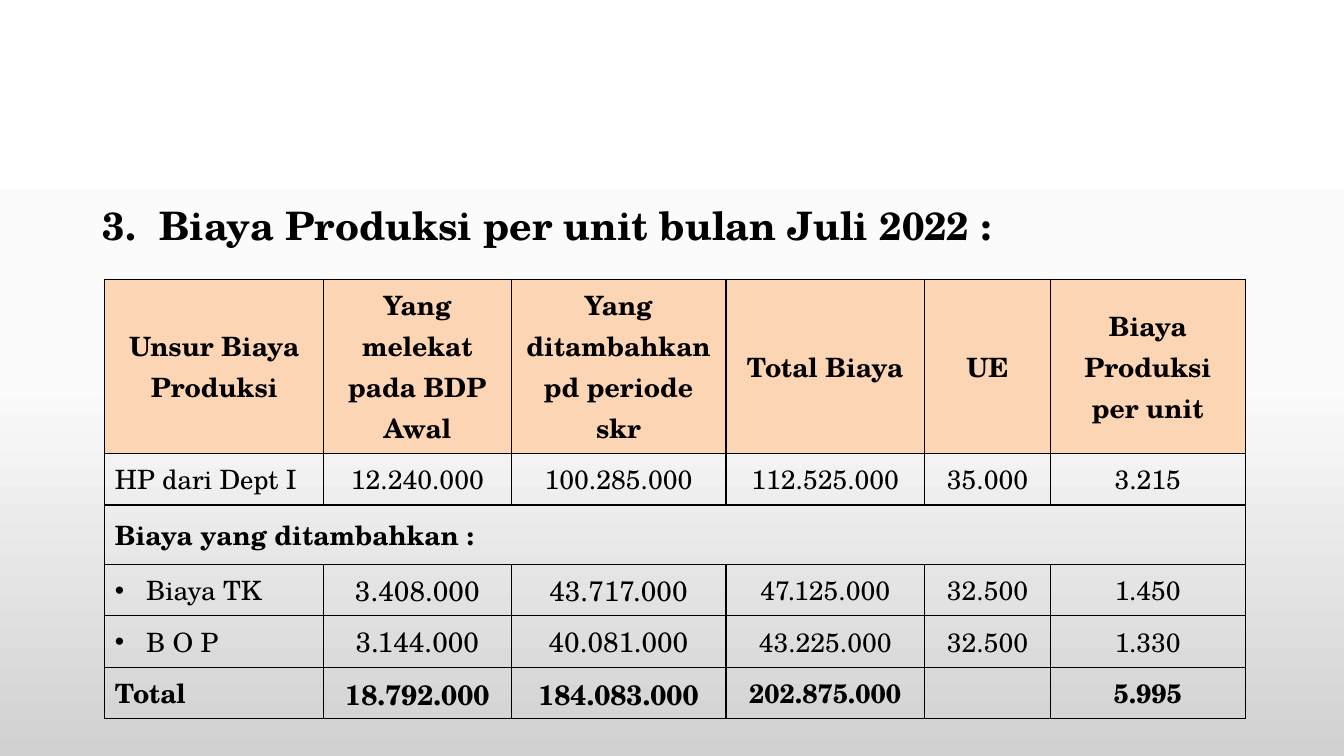
from copy import deepcopy
from dataclasses import dataclass

from pptx import Presentation
from pptx.dml.color import RGBColor
from pptx.enum.text import MSO_ANCHOR as Anchor, PP_ALIGN as Align
from pptx.oxml import parse_xml
from pptx.oxml.ns import nsdecls, qn
from pptx.util import Inches, Pt


@dataclass(frozen=True)
class Theme:
    font: str = "TeX Gyre Schola"
    ink: str = "000000"
    header: str = "FCD5B5"
    backdrop: tuple = ((0, "FFFFFF"), (0.5, "FBFBFB"), (1, "D1D1D1"))
    title_size: int = 28
    cell_size: int = 19
    large_size: int = 20
    border: int = 1


THEME = Theme()
TITLE = "Biaya Produksi per unit bulan Juli 2022 :"
COLUMN_WIDTHS = (2.17, 1.86, 2.13, 1.97, 1.25, 1.93)
ROW_HEIGHTS = (1.73, 0.51, 0.59, 0.51, 0.51, 0.51)
COST_ROWS = (
    ("Unsur Biaya Produksi", "Yang melekat pada BDP Awal",
     "Yang ditambahkan pd periode skr", "Total Biaya", "UE",
     "Biaya Produksi per unit"),
    ("HP dari Dept I", "12.240.000", "100.285.000", "112.525.000", "35.000", "3.215"),
    ("Biaya yang ditambahkan :", "", "", "", "", ""),
    ("Biaya TK", "3.408.000", "43.717.000", "47.125.000", "32.500", "1.450"),
    ("B O P", "3.144.000", "40.081.000", "43.225.000", "32.500", "1.330"),
    ("Total", "18.792.000", "184.083.000", "202.875.000", "", "5.995"),
)
HEADER_ROW, SECTION_ROW, TOTAL_ROW = 0, 2, 5
BOLD_ROWS = (HEADER_ROW, SECTION_ROW, TOTAL_ROW)
BULLET_ROWS = (3, 4)
LARGE_ROWS = (3, 4, 5)
LARGE_COLUMNS = (1, 2)


def apply_format(target, values):
    for name, value in values.items():
        setattr(target, name, value)


def write_text(para, text, size, bold):
    span = para.add_run()
    span.text = text
    apply_format(span.font, {"name": THEME.font, "size": Pt(size), "bold": bold})
    span.font.color.rgb = RGBColor.from_string(THEME.ink)


def add_marker(para, indent, *markers):
    props = para._p.get_or_add_pPr()
    props.set("marL", str(Inches(indent)))
    props.set("indent", str(Inches(-indent)))
    for marker in markers:
        tag, attributes = marker
        props.append(parse_xml(f"<a:{tag} {nsdecls('a')} {attributes}/>"))


def paint_background(page):
    fill = page.background.fill
    fill.gradient()
    fill.gradient_angle = 270
    stop_list = page.element.find(".//" + qn("a:gsLst"))
    stop_list.insert(1, deepcopy(stop_list[0]))
    for stop, (position, color) in zip(fill.gradient_stops, THEME.backdrop):
        stop.position = position
        stop.color.rgb = RGBColor.from_string(color)


def add_title(page, left, top, width, height):
    box = page.shapes.add_textbox(*map(Inches, (left, top, width, height)))
    box.text_frame.word_wrap = True
    para = box.text_frame.paragraphs[0]
    apply_format(para, {"line_spacing": 0.9, "space_before": Pt(10)})
    add_marker(para, 0.56, ("buFont", 'typeface="+mj-lt"'),
               ("buAutoNum", 'type="arabicPeriod" startAt="3"'))
    write_text(para, TITLE, THEME.title_size, True)


def draw_borders(cell):
    props = cell._tc.get_or_add_tcPr()
    for side in ("lnL", "lnR", "lnT", "lnB"):
        props.append(parse_xml(
            f'<a:{side} {nsdecls("a")} w="{Pt(THEME.border)}"><a:solidFill>'
            f'<a:srgbClr val="{THEME.ink}"/></a:solidFill></a:{side}>'))


def fill_cell(cell, row, column, text):
    cell.vertical_anchor = Anchor.MIDDLE
    draw_borders(cell)
    if row == HEADER_ROW:
        cell.fill.solid()
        cell.fill.fore_color.rgb = RGBColor.from_string(THEME.header)
    else:
        cell.fill.background()
    para = cell.text_frame.paragraphs[0]
    centred = row == HEADER_ROW or column > 0
    para.alignment = Align.CENTER if centred else Align.LEFT
    if column == 0 and row in BULLET_ROWS:
        add_marker(para, 0.31, ("buFont", 'typeface="Arial"'), ("buChar", 'char="•"'))
    large = row in LARGE_ROWS and column in LARGE_COLUMNS
    size = THEME.large_size if large else THEME.cell_size
    if text:
        write_text(para, text, size, row in BOLD_ROWS)
    else:
        para.font.size = Pt(size)


def add_cost_table(page, left, top):
    frame = page.shapes.add_table(
        len(ROW_HEIGHTS), len(COLUMN_WIDTHS), Inches(left), Inches(top),
        Inches(sum(COLUMN_WIDTHS)), Inches(sum(ROW_HEIGHTS)))
    table = frame.table
    apply_format(table, {"first_row": False, "horz_banding": False})
    for column, width in zip(table.columns, COLUMN_WIDTHS):
        column.width = Inches(width)
    for row, height in zip(table.rows, ROW_HEIGHTS):
        row.height = Inches(height)
    for row, texts in enumerate(COST_ROWS):
        for column, text in enumerate(texts):
            fill_cell(table.cell(row, column), row, column, text)
    last_column = len(COLUMN_WIDTHS) - 1
    table.cell(SECTION_ROW, 0).merge(table.cell(SECTION_ROW, last_column))


def main():
    deck = Presentation()
    apply_format(deck, {"slide_width": Inches(13.33), "slide_height": Inches(7.5)})
    page = deck.slides.add_slide(deck.slide_layouts[6])
    paint_background(page)
    add_title(page, 0.92, 2, 11.5, 0.7)
    add_cost_table(page, 1.04, 2.77)
    deck.save("out.pptx")


if __name__ == "__main__":
    main()
